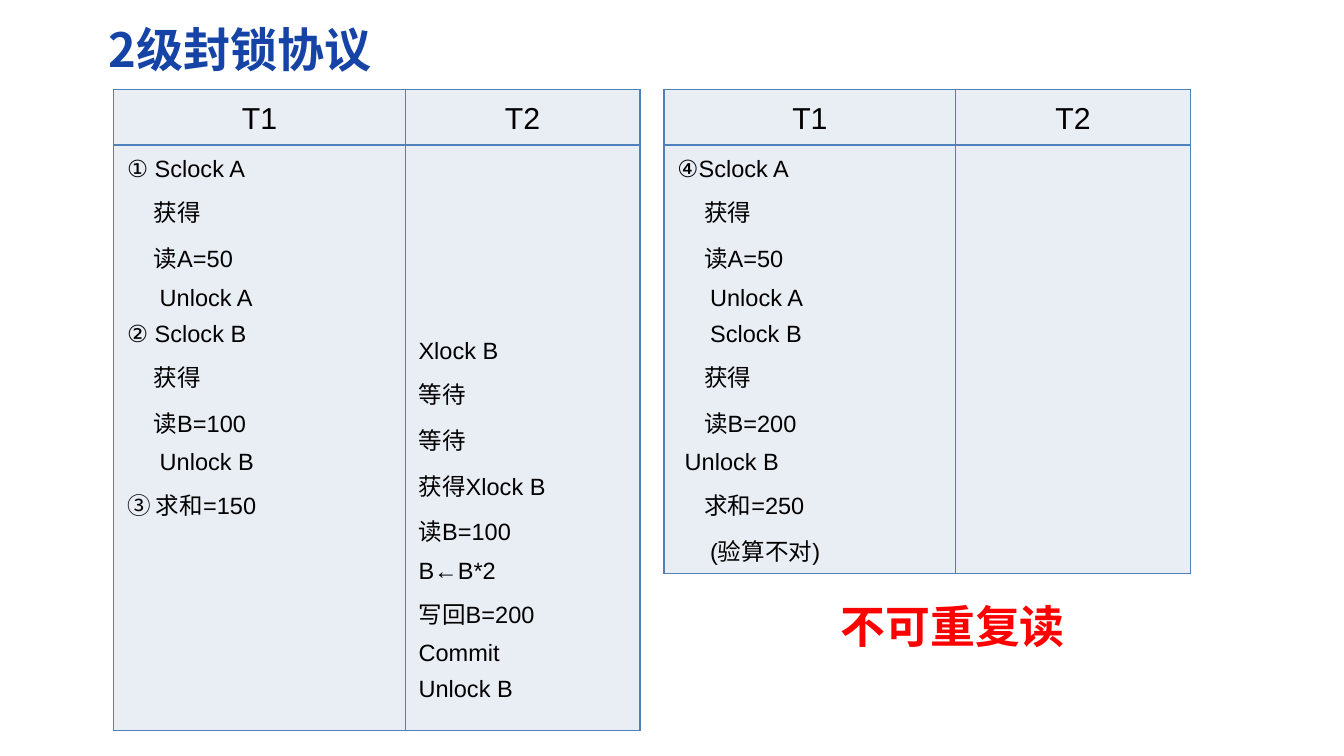
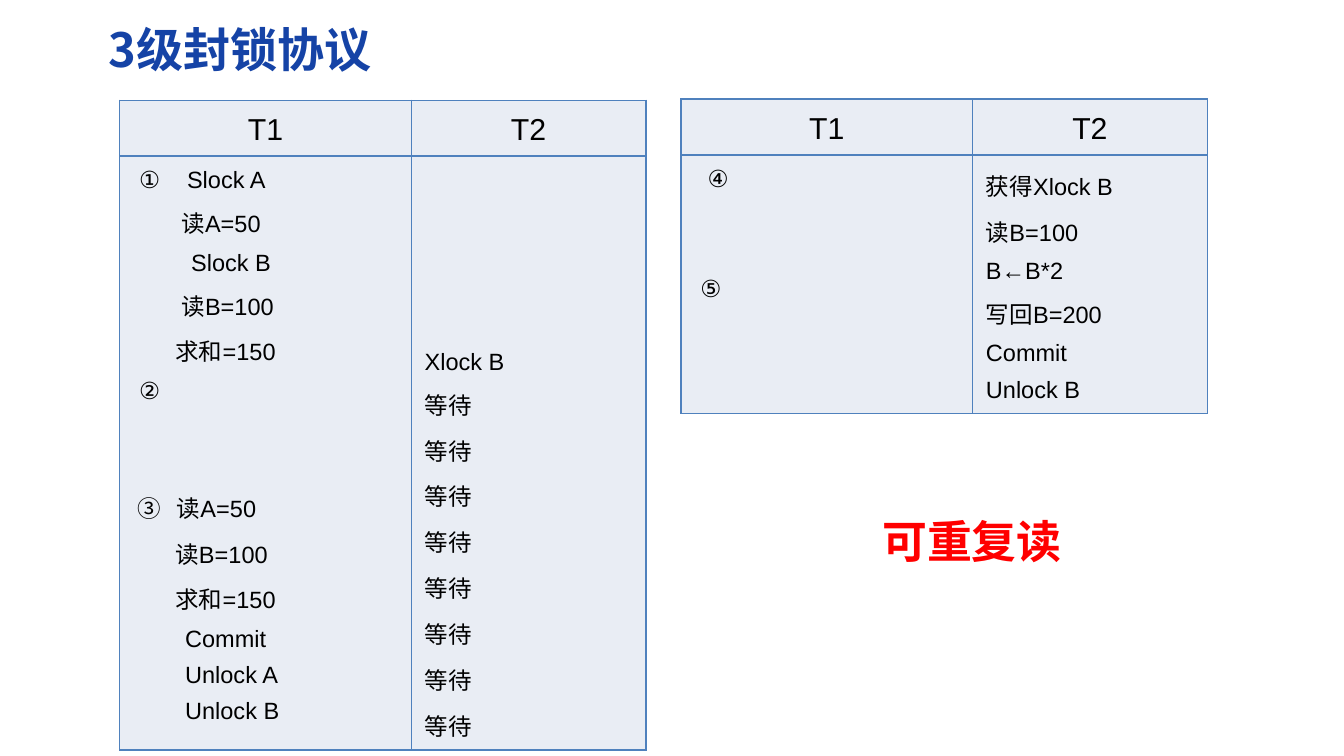
from dataclasses import dataclass

from lxml.etree import SubElement
from pptx import Presentation
from pptx.dml.color import RGBColor
from pptx.enum.text import MSO_ANCHOR, PP_ALIGN
from pptx.oxml.ns import qn
from pptx.util import Inches, Pt


def color(hex_string):
    return RGBColor.from_string(hex_string)


@dataclass
class Step:
    text: str
    indent: float = 0
    action: str = ""
    gap: float = 0
    skipped_lines: int = 0


class Deck:
    NAVY, RED, BLACK = "1543A6", "FF0000", "000000"
    CELL_FILL, CELL_BORDER = "E9EDF4", "4F81BD"
    LATIN, CJK = "Arial", "Noto Sans CJK SC"
    COLUMNS = (2.41, 1.94)
    HEADER_HEIGHT = 0.44
    LINE_PITCH = 22
    SPACE_BEFORE = 0.2

    def __init__(self):
        self.presentation = Presentation()
        self.presentation.slide_width = Inches(11.11)
        self.presentation.slide_height = Inches(6.25)
        self.slide = None

    def new_slide(self, title):
        self.slide = self.presentation.slides.add_slide(self.presentation.slide_layouts[6])
        self.label(title, (0.79, 0.12, 9.81, 0.57), 28, self.NAVY)

    def style(self, paragraph, size, hex_string, latin, bold=False):
        for run in paragraph.runs:
            run.font.size = Pt(size)
            run.font.bold = bold
            run.font.name = latin
            run.font.color.rgb = color(hex_string)
            SubElement(run.font._element, qn("a:ea"), typeface=self.CJK)

    def label(self, text, place, size, hex_string, align=PP_ALIGN.LEFT, wrap=True):
        frame = self.slide.shapes.add_textbox(*map(Inches, place)).text_frame
        frame.word_wrap = wrap
        frame.vertical_anchor = MSO_ANCHOR.MIDDLE
        frame.margin_left = frame.margin_right = Inches(0.11)
        frame.margin_top = frame.margin_bottom = Inches(0.06)
        frame.text = text
        frame.paragraphs[0].alignment = align
        self.style(frame.paragraphs[0], size, hex_string, self.CJK, True)

    def verdict(self, text, left, top):
        self.label(text, (left, top, 3.15, 0.62), 26.7, self.RED, PP_ALIGN.CENTER, False)

    def border(self, cell):
        properties = cell._tc.get_or_add_tcPr()
        for position, side in enumerate(("a:lnL", "a:lnR", "a:lnT", "a:lnB")):
            line = properties.makeelement(qn(side), {"w": str(Pt(1))})
            properties.insert(position, line)
            fill = SubElement(line, qn("a:solidFill"))
            SubElement(fill, qn("a:srgbClr"), val=self.CELL_BORDER)

    def add_action(self, paragraph, step):
        space = paragraph.add_run()
        space.text = " "
        space.font._element.set("spc", str(round(step.gap * 100)))
        paragraph.add_run().text = step.action

    def fill_cell(self, cell, steps, size, align, offset=0):
        cell.fill.solid()
        cell.fill.fore_color.rgb = color(self.CELL_FILL)
        self.border(cell)
        cell.margin_left = cell.margin_right = Inches(0.11)
        cell.margin_top = Inches(0.05 + offset)
        cell.margin_bottom = Inches(0.05)
        cell.text_frame.text = "\n".join(step.text for step in steps)
        for number, (paragraph, step) in enumerate(zip(cell.text_frame.paragraphs, steps)):
            properties = paragraph._p.get_or_add_pPr()
            properties.set("marL", "0")
            properties.set("indent", str(Inches(step.indent)))
            if step.action:
                self.add_action(paragraph, step)
            paragraph.alignment = align
            paragraph.line_spacing = 1.2
            if number:
                space = size * self.SPACE_BEFORE + step.skipped_lines * self.LINE_PITCH
                paragraph.space_before = Pt(space)
            self.style(paragraph, size, self.BLACK, self.LATIN)

    def schedule(self, left, top, body_height, first, second, second_offset=0):
        table = self.slide.shapes.add_table(
            2, 2, Inches(left), Inches(top), Inches(sum(self.COLUMNS)),
            Inches(self.HEADER_HEIGHT + body_height)).table
        table.first_row = table.horz_banding = False
        table.rows[0].height = Inches(self.HEADER_HEIGHT)
        table.rows[1].height = Inches(body_height)
        transactions = (("T1", first, 0), ("T2", second, second_offset))
        for column, (name, steps, offset) in enumerate(transactions):
            table.columns[column].width = Inches(self.COLUMNS[column])
            self.fill_cell(table.cell(0, column), [Step(name)], 18, PP_ALIGN.CENTER)
            self.fill_cell(table.cell(1, column), steps, 14, PP_ALIGN.JUSTIFY, offset)


def steps_of(*texts):
    return [Step(text) for text in texts]


def main():
    deck = Deck()
    update_b = steps_of("获得Xlock B", "读B=100", "B←B*2", "写回B=200", "Commit", "Unlock B")
    waiting_offset = 1.5

    deck.new_slide("2级封锁协议")
    deck.schedule(0.94, 0.74, 4.84, [
        Step("① Sclock A"), Step("获得", 0.22), Step("读A=50", 0.22), Step("Unlock A", 0.27),
        Step("② Sclock B"), Step("获得", 0.22), Step("读B=100", 0.22), Step("Unlock B", 0.27),
        Step("③ 求和=150"),
    ], steps_of("Xlock B", "等待", "等待") + update_b, waiting_offset)
    deck.verdict("不可重复读", 6.3, 4.86)
    deck.schedule(5.49, 0.74, 3.54, [
        Step("④Sclock A"), Step("获得", 0.22), Step("读A=50", 0.22), Step("Unlock A", 0.27),
        Step("Sclock B", 0.27), Step("获得", 0.22), Step("读B=200", 0.22),
        Step("Unlock B", 0.06), Step("求和=250", 0.22), Step("(验算不对)", 0.27),
    ], [])

    deck.new_slide("3级封锁协议")
    deck.schedule(0.99, 0.83, 4.91, [
        Step("①", 0.05, action="Slock A", gap=12), Step("读A=50", 0.4),
        Step("Slock B", 0.48), Step("读B=100", 0.4), Step("求和=150", 0.35),
        Step("②", 0.05), Step("③", 0.04, action="读A=50", gap=6, skipped_lines=2),
        Step("读B=100", 0.35), Step("求和=150", 0.35), Step("Commit", 0.43),
        Step("Unlock A", 0.43), Step("Unlock B", 0.43),
    ], steps_of("Xlock B", *["等待"] * 8), waiting_offset)
    deck.verdict("可重复读", 6.46, 4.16)
    deck.schedule(5.63, 0.82, 2.14, [
        Step("④", 0.11), Step("⑤", 0.05, skipped_lines=2),
    ], update_b)

    deck.presentation.save("out.pptx")


if __name__ == "__main__":
    main()
